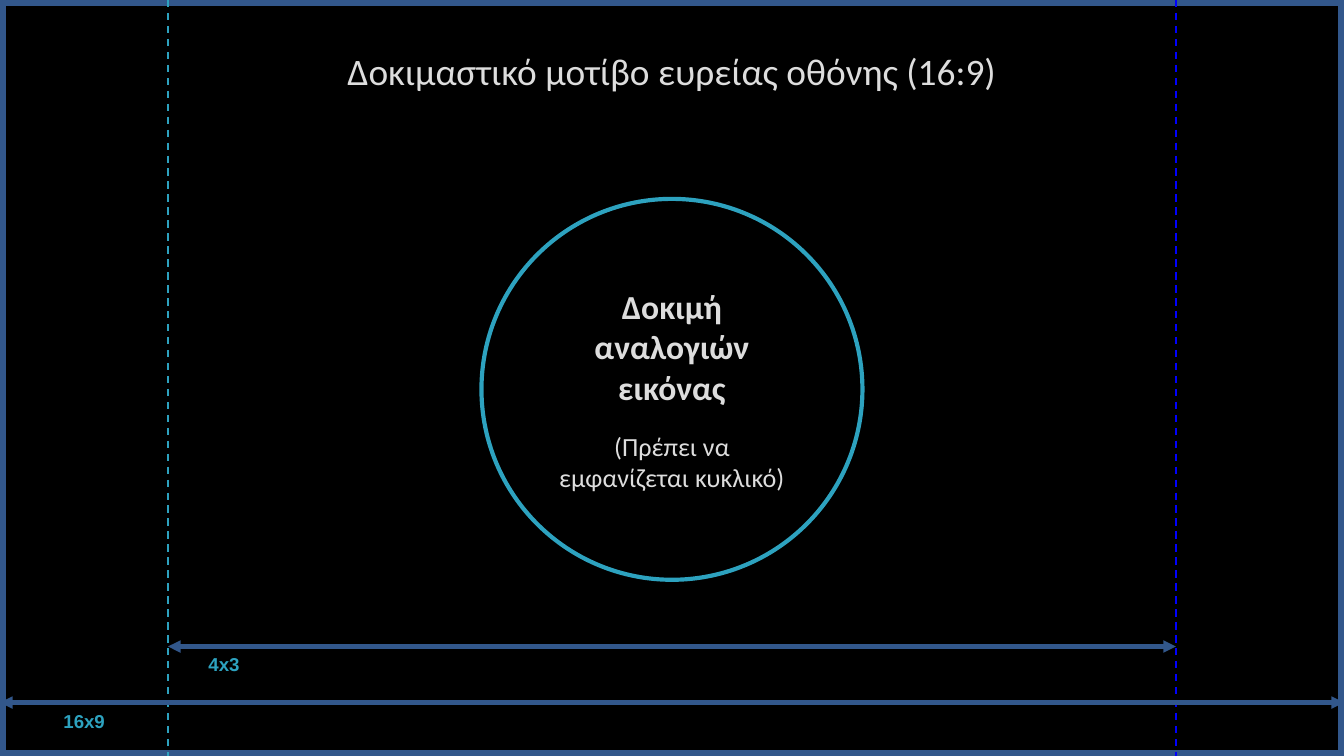
from lxml.etree import SubElement
from pptx import Presentation
from pptx.dml.color import RGBColor
from pptx.enum.dml import MSO_LINE
from pptx.enum.shapes import MSO_CONNECTOR, MSO_SHAPE
from pptx.enum.text import MSO_ANCHOR, MSO_AUTO_SIZE, PP_ALIGN
from pptx.oxml.ns import qn
from pptx.util import Cm, Pt

# Colours
BLACK = RGBColor(0x00, 0x00, 0x00)
LIGHT_GREY = RGBColor(0xDD, 0xDD, 0xDD)
STEEL_BLUE = RGBColor(0x32, 0x57, 0x8B)
TEAL = RGBColor(0x2D, 0xA2, 0xBF)
PURE_BLUE = RGBColor(0x00, 0x00, 0xFF)

# Content
TITLE = "Δοκιμαστικό μοτίβο ευρείας οθόνης (16:9)"
CIRCLE_TEXT = [  # text, size, bold, space before
    ("Δοκιμή αναλογιών εικόνας", 18, True, 0),
    ("(Πρέπει να εμφανίζεται κυκλικό)", 14, False, 12.5),
]

# Geometry in centimetres
WIDTH, HEIGHT = 25.4, 14.29
NARROW_WIDTH = WIDTH * 3 / 4  # a 4:3 picture inside the 16:9 one
NARROW_LEFT = (WIDTH - NARROW_WIDTH) / 2
NARROW_RIGHT = NARROW_LEFT + NARROW_WIDTH
CIRCLE_SIZE, CIRCLE_TOP = 7.2, 3.76

GUIDES = [(NARROW_LEFT, TEAL), (NARROW_RIGHT, PURE_BLUE)]
MEASURES = [  # label, label left, arrow start, arrow end, height on the slide
    ("16x9", 1.07, 0, WIDTH, 13.28),
    ("4x3", 3.81, NARROW_LEFT, NARROW_RIGHT, 12.22),
]


def add_line(slide, start, end, color, weight):
    line = slide.shapes.add_connector(
        MSO_CONNECTOR.STRAIGHT, *(Cm(value) for value in (*start, *end)))
    line.line.color.rgb = color
    line.line.width = Pt(weight)
    SubElement(line._element.spPr, qn("a:effectLst"))
    return line


def add_outline(slide, kind, left, top, width, height, color, weight):
    shape = slide.shapes.add_shape(kind, Cm(left), Cm(top), Cm(width), Cm(height))
    shape.shadow.inherit = False
    shape.fill.background()
    shape.line.color.rgb = color
    shape.line.width = Pt(weight)
    return shape


def format_font(paragraph, name, size, color, bold=False):
    for run in paragraph.runs:
        run.font.name = name
        run.font.size = Pt(size)
        run.font.color.rgb = color
        run.font.bold = bold


presentation = Presentation()
presentation.slide_width, presentation.slide_height = Cm(WIDTH), Cm(HEIGHT)
slide = presentation.slides.add_slide(presentation.slide_layouts[5])

# Black frame, behind everything else
frame = add_outline(slide, MSO_SHAPE.RECTANGLE, 0, 0, WIDTH, HEIGHT, STEEL_BLUE, 6)
frame.fill.solid()
frame.fill.fore_color.rgb = BLACK
slide.shapes.title._element.addprevious(frame._element)

# Title
title = slide.shapes.title
title.left, title.top, title.width, title.height = Cm(1.9), Cm(0.79), Cm(21.6), Cm(2.34)
title.text_frame.text = TITLE
title.text_frame.auto_size = MSO_AUTO_SIZE.NONE
title.text_frame.vertical_anchor = MSO_ANCHOR.TOP
title.text_frame.paragraphs[0].alignment = PP_ALIGN.CENTER
format_font(title.text_frame.paragraphs[0], "Calibri", 20, LIGHT_GREY)

# Dashed guides at the 4:3 edges
for x, color in GUIDES:
    guide = add_line(slide, (x, 0), (x, HEIGHT), color, 1)
    guide.line.dash_style = MSO_LINE.DASH

# Circle with its text
circle = add_outline(slide, MSO_SHAPE.OVAL, (WIDTH - CIRCLE_SIZE) / 2, CIRCLE_TOP,
                     CIRCLE_SIZE, CIRCLE_SIZE, TEAL, 2.25)
circle_frame = circle.text_frame
circle_frame.word_wrap = True
circle_frame.vertical_anchor = MSO_ANCHOR.MIDDLE
circle_frame.text = "\n".join(text for text, *_ in CIRCLE_TEXT)
for paragraph, (_, size, bold, gap) in zip(circle_frame.paragraphs, CIRCLE_TEXT):
    paragraph.alignment = PP_ALIGN.CENTER
    paragraph.space_before = Pt(gap)
    format_font(paragraph, "Calibri", size, LIGHT_GREY, bold)

# Width arrows with their labels
for text, label_left, start, end, y in MEASURES:
    arrow = add_line(slide, (start, y), (end, y), STEEL_BLUE, 2.25)
    for tag in ("a:headEnd", "a:tailEnd"):
        SubElement(arrow.line._get_or_add_ln(), qn(tag), type="triangle")

    label = slide.shapes.add_textbox(Cm(label_left), Cm(y), Cm(1.47), Cm(0.69))
    label_frame = label.text_frame
    label_frame.word_wrap = True
    label_frame.auto_size = MSO_AUTO_SIZE.SHAPE_TO_FIT_TEXT
    label_frame.margin_left = label_frame.margin_right = Cm(0.13)
    label_frame.margin_top = label_frame.margin_bottom = Cm(0.13)
    label_frame.text = text
    format_font(label_frame.paragraphs[0], "Arial", 10, TEAL, True)

presentation.save("out.pptx")
